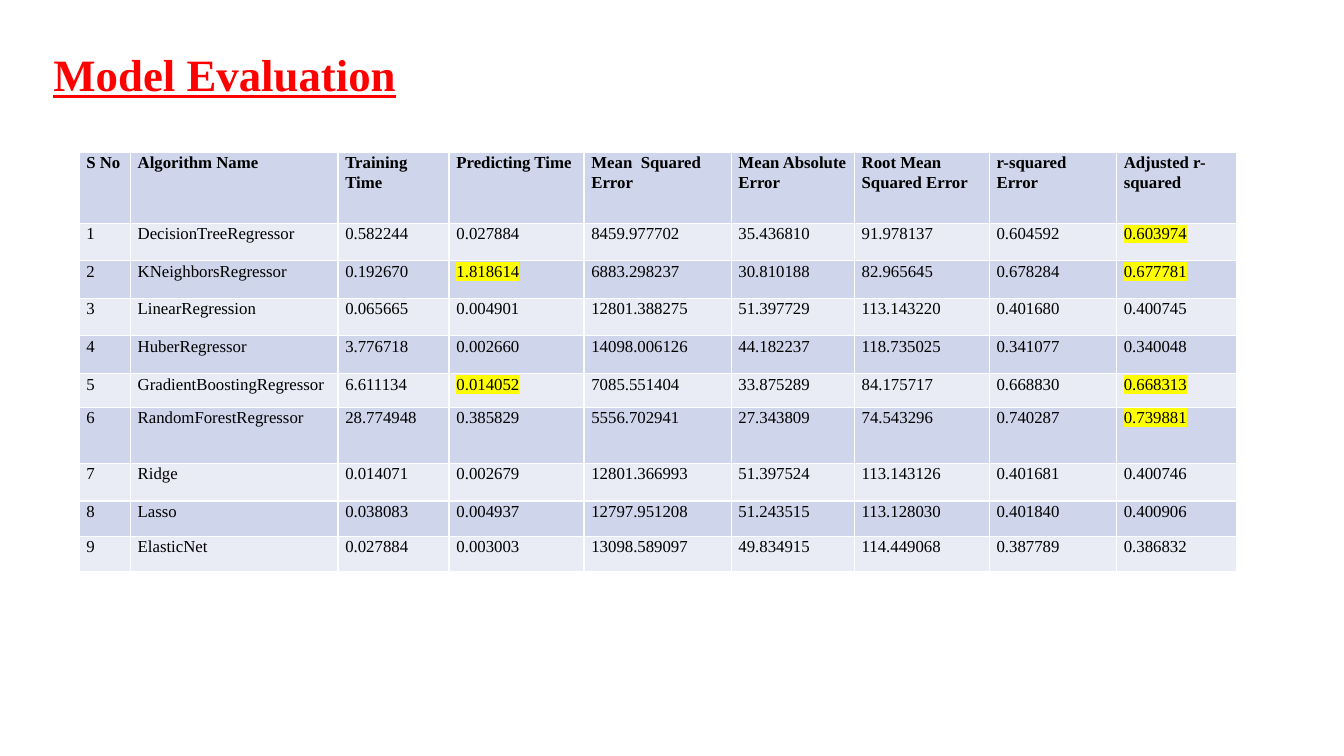
from lxml import etree
from pptx import Presentation
from pptx.dml.color import RGBColor
from pptx.enum.text import MSO_ANCHOR, MSO_AUTO_SIZE, PP_ALIGN
from pptx.oxml.ns import qn
from pptx.util import Pt

LEFT = PP_ALIGN.LEFT
MIDDLE = MSO_ANCHOR.MIDDLE
NO_FIT = MSO_AUTO_SIZE.NONE
FACE = "Times New Roman"
BANDS = ["CFD5EA", "E9EBF5"]
WIDTHS = [36.7, 148.3, 79.4, 96.4, 105.1, 88, 96.4, 90.9, 85.8]
HEIGHTS = [51, 26.8, 26.7, 26.9, 27.2, 23.8, 40.3, 26.8, 25.4, 25.2]
MARKED = {(1, 8), (2, 3), (2, 8), (5, 3), (5, 8), (6, 8)}
ROWS = [
    ["S No", "Algorithm Name", "Training Time", "Predicting Time", "Mean  Squared Error",
     "Mean Absolute Error", "Root Mean Squared Error", "r-squared Error", "Adjusted r-squared"],
    ["1", "DecisionTreeRegressor", "0.582244", "0.027884", "8459.977702",
     "35.436810", "91.978137", "0.604592", "0.603974"],
    ["2", "KNeighborsRegressor", "0.192670", "1.818614", "6883.298237",
     "30.810188", "82.965645", "0.678284", "0.677781"],
    ["3", "LinearRegression", "0.065665", "0.004901", "12801.388275",
     "51.397729", "113.143220", "0.401680", "0.400745"],
    ["4", "HuberRegressor", "3.776718", "0.002660", "14098.006126",
     "44.182237", "118.735025", "0.341077", "0.340048"],
    ["5", "GradientBoostingRegressor", "6.611134", "0.014052", "7085.551404",
     "33.875289", "84.175717", "0.668830", "0.668313"],
    ["6", "RandomForestRegressor", "28.774948", "0.385829", "5556.702941",
     "27.343809", "74.543296", "0.740287", "0.739881"],
    ["7", "Ridge", "0.014071", "0.002679", "12801.366993",
     "51.397524", "113.143126", "0.401681", "0.400746"],
    ["8", "Lasso", "0.038083", "0.004937", "12797.951208",
     "51.243515", "113.128030", "0.401840", "0.400906"],
    ["9", "ElasticNet", "0.027884", "0.003003", "13098.589097",
     "49.834915", "114.449068", "0.387789", "0.386832"],
]


def style(run, size, color, bold):
    font = run.font
    font.name = FACE
    font.size = Pt(size)
    font.bold = bold
    font.color.rgb = RGBColor.from_string(color)


def mark(run, color):
    light = etree.Element(qn("a:highlight"))
    etree.SubElement(light, qn("a:srgbClr")).set("val", color)
    run.font.fill._xPr.find(qn("a:solidFill")).addnext(light)


deck = Presentation()
deck.slide_width = Pt(960)
deck.slide_height = Pt(540)
slide = deck.slides.add_slide(deck.slide_layouts[5])

title = slide.shapes.title
title.left, title.top, title.width, title.height = Pt(31), Pt(36.7), Pt(828), Pt(36.7)
frame = title.text_frame
frame.text = "Model Evaluation"
frame.auto_size = NO_FIT
frame.vertical_anchor = MIDDLE
para = frame.paragraphs[0]
para.alignment = LEFT
para.line_spacing = 0.9
style(para.runs[0], 32, "FF0000", True)
para.runs[0].font.underline = True

holder = slide.shapes.add_table(len(ROWS), len(WIDTHS), Pt(56.4), Pt(108.5),
                                Pt(sum(WIDTHS)), Pt(sum(HEIGHTS)))
table = holder.table
table.first_row = False
for col, width in zip(table.columns, WIDTHS):
    col.width = Pt(width)
for row, height in zip(table.rows, HEIGHTS):
    row.height = Pt(height)

for r, texts in enumerate(ROWS):
    for c, text in enumerate(texts):
        cell = table.cell(r, c)
        cell.fill.solid()
        cell.fill.fore_color.rgb = RGBColor.from_string(BANDS[r % 2])
        cell.margin_left = cell.margin_right = Pt(5.3)
        cell.margin_top = cell.margin_bottom = Pt(0)
        para = cell.text_frame.paragraphs[0]
        para.text = text
        para.line_spacing = 1.07
        para.space_after = Pt(8)
        style(para.runs[0], 12, "000000", r == 0)
        if (r, c) in MARKED:
            mark(para.runs[0], "FFFF00")

deck.save("out.pptx")
